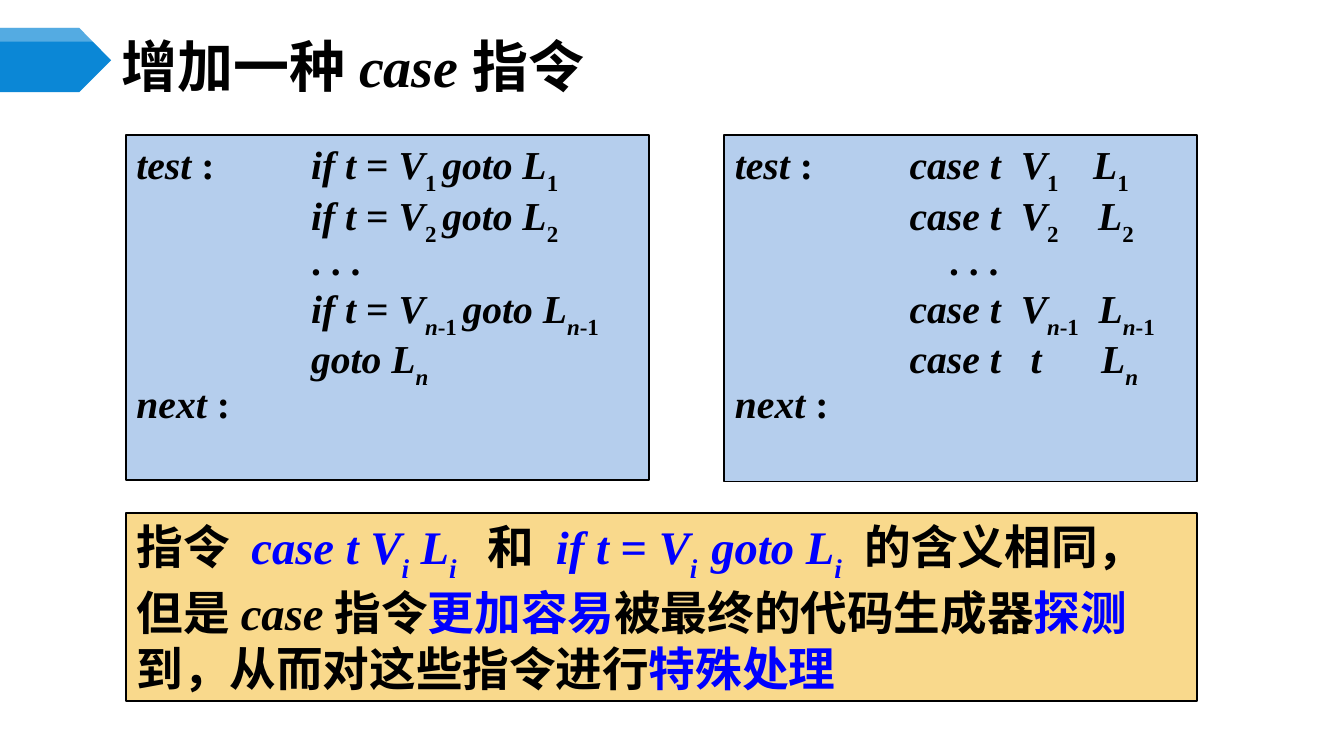
from dataclasses import dataclass

import lxml.etree
import pptx
import pptx.dml.color
import pptx.enum.shapes
import pptx.enum.text
import pptx.oxml.ns
import pptx.util

Cm = pptx.util.Cm
qn = pptx.oxml.ns.qn


@dataclass(frozen=True)
class Theme:
    black: str = "000000"
    blue: str = "0000FF"
    marker: str = "0B87D6"
    highlight: str = "FFFFFF"
    code_fill: str = "B5CEED"
    note_fill: str = "F9D98C"
    title_size: float = 30
    code_size: float = 21.2
    note_size: float = 25
    latin: str = "Times New Roman"
    chinese: str = "Noto Sans CJK SC"


THEME = Theme()
TAB_WIDTH = Cm(2.54)
HANGING = Cm(0.76)


def rgb(value):
    return pptx.dml.color.RGBColor.from_string(value)


def add_text(paragraph, text, *, size, italic=False, subscript=False,
             color=THEME.black, spacing=0):
    run = paragraph.add_run()
    run.text = text
    font = run.font
    font.name = THEME.latin
    font.size = pptx.util.Pt(size)
    font.bold = True
    font.italic = italic
    font.color.rgb = rgb(color)
    properties = run._r.get_or_add_rPr()
    if subscript:
        properties.set("baseline", "-30000")
    if spacing:
        properties.set("spc", str(round(spacing * size * 100)))
    lxml.etree.SubElement(properties, qn("a:ea"), typeface=THEME.chinese)


def plain(text, **style):
    return text, style


def slanted(text, **style):
    return text, dict(style, italic=True)


def gap(spaces):
    return plain(" ", spacing=(spaces - 1) / 4)


def indexed(name, index, **style):
    runs = [slanted(name, **style)]
    if index.startswith(("n", "i")):
        runs.append(slanted(index[0], subscript=True, **style))
        index = index[1:]
    if index:
        runs.append(plain(index, subscript=True, **style))
    return runs


def add_runs(paragraph, runs, size):
    for text, style in runs:
        add_text(paragraph, text, size=size, **style)


def format_code(paragraph):
    properties = paragraph._p.get_or_add_pPr()
    properties.set("marL", str(HANGING))
    properties.set("indent", str(-HANGING))
    properties.set("defTabSz", str(TAB_WIDTH))
    lxml.etree.SubElement(properties, qn("a:buNone"))
    paragraph.alignment = pptx.enum.text.PP_ALIGN.JUSTIFY
    paragraph.line_spacing = 0.9
    paragraph.space_before = pptx.util.Pt(0)


def place(shape, left, top, width, height, anchor=pptx.enum.text.MSO_ANCHOR.TOP):
    shape.left, shape.top = Cm(left), Cm(top)
    shape.width, shape.height = Cm(width), Cm(height)
    frame = shape.text_frame
    frame.word_wrap = True
    frame.auto_size = pptx.enum.text.MSO_AUTO_SIZE.NONE
    frame.vertical_anchor = anchor
    frame.margin_left = frame.margin_right = Cm(0.2)
    frame.margin_top = frame.margin_bottom = Cm(0.1)


def paint_panel(shape, fill):
    shape.shadow.inherit = False
    shape.fill.solid()
    shape.fill.fore_color.rgb = rgb(fill)
    shape.line.color.rgb = rgb(THEME.black)
    shape.line.width = pptx.util.Pt(1)


def add_panel(slide, left, top, width, height, fill):
    rectangle = pptx.enum.shapes.MSO_SHAPE.RECTANGLE
    shape = slide.shapes.add_shape(rectangle, 0, 0, 0, 0)
    place(shape, left, top, width, height)
    paint_panel(shape, fill)
    return shape


def write_code(shape, rows):
    frame = shape.text_frame
    for number, runs in enumerate(rows):
        paragraph = frame.add_paragraph() if number else frame.paragraphs[0]
        format_code(paragraph)
        add_runs(paragraph, runs, THEME.code_size)


def add_outline(slide, points, color, opacity=100):
    corners = [(Cm(x), Cm(y)) for x, y in points]
    builder = slide.shapes.build_freeform(*corners[0])
    builder.add_line_segments(corners[1:], close=True)
    shape = builder.convert_to_shape()
    shape.shadow.inherit = False
    shape.line.fill.background()
    shape.fill.solid()
    shape.fill.fore_color.rgb = rgb(color)
    if opacity < 100:
        fill_color = shape._element.spPr.find(".//" + qn("a:srgbClr"))
        lxml.etree.SubElement(fill_color, qn("a:alpha"), val=str(opacity * 1000))


def if_row(index):
    return [slanted("if t"), plain(" = "), *indexed("V", index),
            plain(" ", subscript=True), *indexed("goto L", index)]


def case_row(index, spaces):
    return [slanted("case t"), gap(2), *indexed("V", index), gap(spaces),
            *indexed("L", index)]


def code_rows(body):
    first, *others = body
    return [[slanted("test "), plain(":\t"), *first],
            *([plain("\t\t"), *runs] for runs in others),
            [slanted("next "), plain(":")]]


def write_note(shape):
    blue = {"color": THEME.blue}
    paragraph = shape.text_frame.paragraphs[0]
    paragraph.alignment = pptx.enum.text.PP_ALIGN.LEFT
    paragraph._p.get_or_add_pPr().set("hangingPunct", "0")
    add_runs(paragraph, [
        plain("指令 "), *indexed("case t V", "i", **blue), plain(" "),
        *indexed("L", "i", **blue), gap(1.7), plain("和 "),
        slanted("if t", **blue), plain(" = ", **blue), *indexed("V", "i", **blue),
        gap(1.2), *indexed("goto L", "i", **blue), plain(" 的含义相同，"),
    ], THEME.note_size)
    paragraph.add_line_break()
    add_runs(paragraph, [
        plain("但是"), slanted("case"), plain("指令"), plain("更加容易", **blue),
        plain("被最终的代码生成器"), plain("探测", **blue),
        plain("到，从而对这些指令进行"), plain("特殊处理", **blue),
    ], THEME.note_size)


def write_title(title):
    place(title, 2.1, 0.74, 22.02, 0.99, pptx.enum.text.MSO_ANCHOR.MIDDLE)
    paragraph = title.text_frame.paragraphs[0]
    paragraph.alignment = pptx.enum.text.PP_ALIGN.LEFT
    add_runs(paragraph, [plain("增加一种"), slanted("case"), plain("指令")], THEME.title_size)


def main():
    presentation = pptx.Presentation()
    presentation.slide_width = Cm(25.4)
    presentation.slide_height = presentation.slide_width * 9 // 16
    slide = presentation.slides.add_slide(presentation.slide_layouts[1])

    add_outline(slide, [(0, 0.53), (1.5, 0.53), (2.1, 1.14), (1.5, 1.74), (0, 1.74)],
                THEME.marker)
    add_outline(slide, [(0, 0.53), (1.98, 0.53), (2.1, 0.66), (1.98, 0.79), (0, 0.79)],
                THEME.highlight, opacity=30)
    write_title(slide.shapes.title)

    if_panel = add_panel(slide, 2.38, 2.55, 9.88, 6.53, THEME.code_fill)
    write_code(if_panel, code_rows([
        if_row("1"), if_row("2"), [plain(". . .")], if_row("n-1"), indexed("goto L", "n"),
    ]))

    case_panel = slide.placeholders[1]
    place(case_panel, 13.69, 2.55, 8.94, 6.55)
    paint_panel(case_panel, THEME.code_fill)
    write_code(case_panel, code_rows([
        case_row("1", 3.5), case_row("2", 4), [gap(4), plain(". . .")],
        case_row("n-1", 2),
        [slanted("case t"), gap(3), slanted("t"), gap(6), *indexed("L", "n")],
    ]))

    write_note(add_panel(slide, 2.38, 9.69, 20.24, 3.56, THEME.note_fill))
    presentation.save("out.pptx")


if __name__ == "__main__":
    main()
